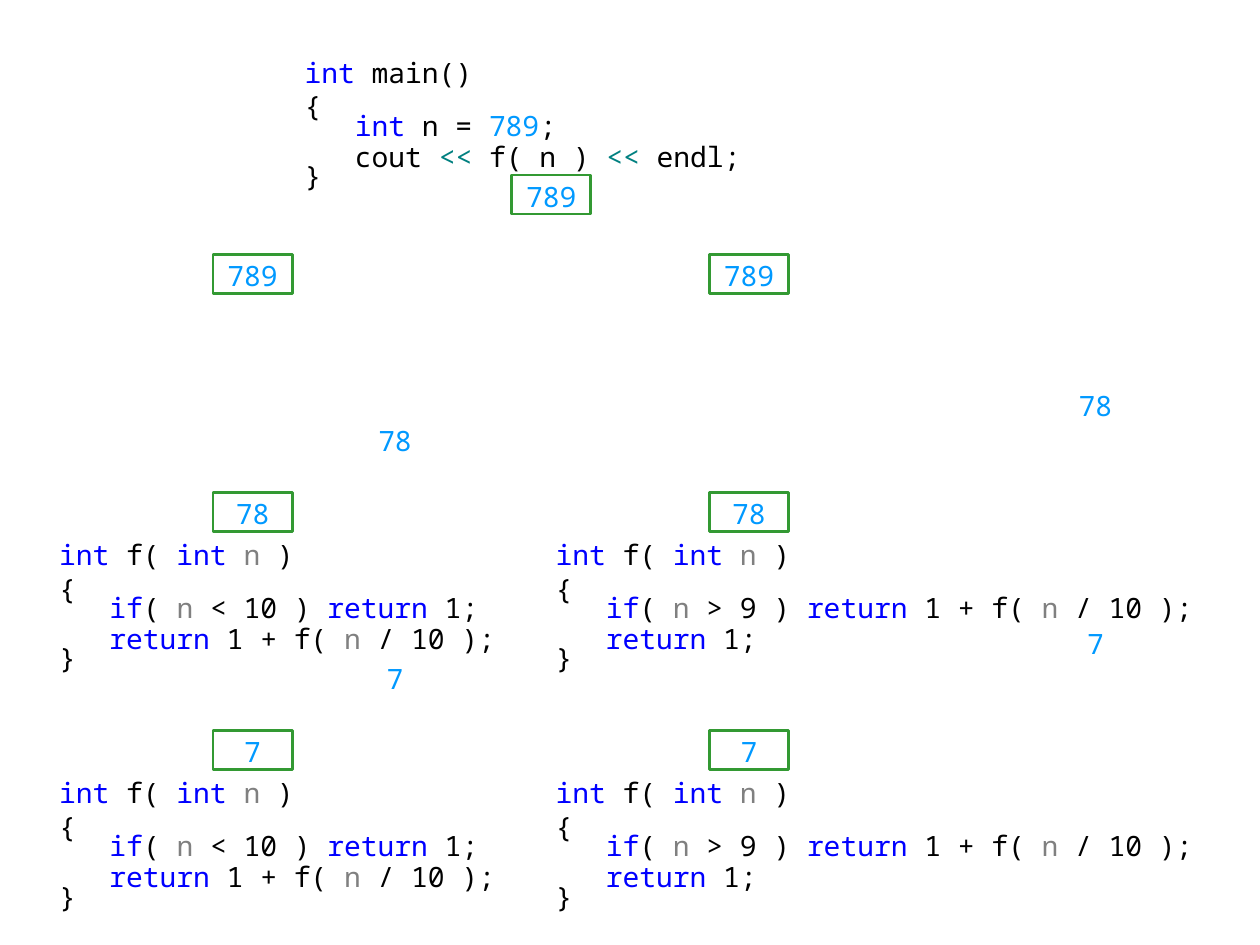
from dataclasses import dataclass
from itertools import groupby

from pptx import Presentation, util as u
from pptx.dml.color import RGBColor
from pptx.enum import shapes, text

HUES = {"key": "0000FF", "num": "0099FF", "op": "008080",
        "arg": "808080", "ink": "000000", "edge": "339933"}
WORDS = {"int": "key", "if": "key", "return": "key", "<<": "op", "789": "num"}
FONT = "Noto Sans Mono"

MAIN = ["int main()", "{", "   int n = 789;", "   cout << f( n ) << endl;", "}"]
LESS = ["int f( int n )", "{", "   if( n < 10 ) return 1;",
        "   return 1 + f( n / 10 );", "}"]
MORE = ["int f( int n )", "{", "   if( n > 9 ) return 1 + f( n / 10 );",
        "   return 1;", "}"]
GAPS = [1.0, 1.0, 0.5, 1.0, 0.5]
STEP = 1.89


@dataclass
class Code:
    x: float
    y: float
    w: float
    lines: list[str]
    words: dict[str, str]
    pad: tuple = (0.04, 0.05, 0.04, 0.05)


@dataclass
class Value:
    x: float
    y: float
    label: str
    w: float = 0.63
    framed: bool = True
    pad: tuple = (0.1, 0.02, 0.1, 0)


def color(name: str) -> RGBColor:
    return RGBColor.from_string(HUES[name])


def split(line: str, words: dict[str, str]) -> list[tuple[str, str]]:
    tokens = ["".join(part) for _, part in
              groupby(line, lambda c: (c.isalnum(), c == "<"))]
    return [("".join(part), hue) for hue, part in
            groupby(tokens, lambda t: words.get(t, "ink"))]


def write(frame, lines: list, *, pad: tuple, gaps: list | None = None,
          wrap: bool = True, align=text.PP_ALIGN.LEFT,
          anchor=text.MSO_ANCHOR.TOP, size: int = 16) -> None:
    frame.word_wrap = wrap
    frame.vertical_anchor = anchor
    (frame.margin_left, frame.margin_top,
     frame.margin_right, frame.margin_bottom) = map(u.Inches, pad)
    for i, runs in enumerate(lines):
        para = frame.add_paragraph() if i else frame.paragraphs[0]
        para.alignment = align
        if gaps:
            para.line_spacing = gaps[i]
        for words, hue in runs:
            run = para.add_run()
            run.text = words
            run.font.name = FONT
            run.font.size = u.Pt(size)
            run.font.color.rgb = color(hue)


def draw_code(slide, code: Code) -> None:
    box = slide.shapes.add_textbox(*map(u.Inches, (code.x, code.y, code.w, 1.1)))
    write(box.text_frame, [split(line, code.words) for line in code.lines],
          pad=code.pad, gaps=GAPS)


def draw_value(slide, val: Value) -> None:
    place = [u.Inches(n) for n in (val.x, val.y, val.w, 0.31)]
    if val.framed:
        box = slide.shapes.add_shape(shapes.MSO_SHAPE.RECTANGLE, *place)
        box.shadow.inherit = False
        box.fill.background()
        box.line.color.rgb = color("edge")
        box.line.width = u.Pt(1.5)
    else:
        box = slide.shapes.add_textbox(*place)
    write(box.text_frame, [[(val.label, "num")]], pad=val.pad, wrap=False,
          align=text.PP_ALIGN.CENTER, anchor=text.MSO_ANCHOR.MIDDLE)


def main() -> None:
    deck = Presentation()
    deck.slide_width, deck.slide_height = u.Inches(10), u.Inches(7.5)
    slide = deck.slides.add_slide(deck.slide_layouts[6])

    draw_code(slide, Code(2.32, 0.44, 3.78, MAIN, WORDS, (0.1, 0, 0.1, 0.05)))
    draw_value(slide, Value(4.06, 1.39, "789"))

    local = WORDS | {"n": "arg"}
    for x, w, lines in ((0.43, 3.62, LESS), (4.37, 5.2, MORE)):
        for row in range(2):
            draw_code(slide, Code(x, 4.22 + row * STEP, w, lines, local))

    for row, label in enumerate(("789", "78", "7")):
        for x in (1.69, 5.63):
            draw_value(slide, Value(x, 2.02 + row * STEP, label))

    for row, label in enumerate(("78", "7")):
        for x, y, pad in ((2.95, 3.44, (0, 0, 0.1, 0.2)),
                          (8.46, 3.12, (0.1, 0, 0.1, 0.12))):
            draw_value(slide, Value(x, y + row * STEP, label, 0.47, False, pad))

    deck.save("out.pptx")


if __name__ == "__main__":
    main()
